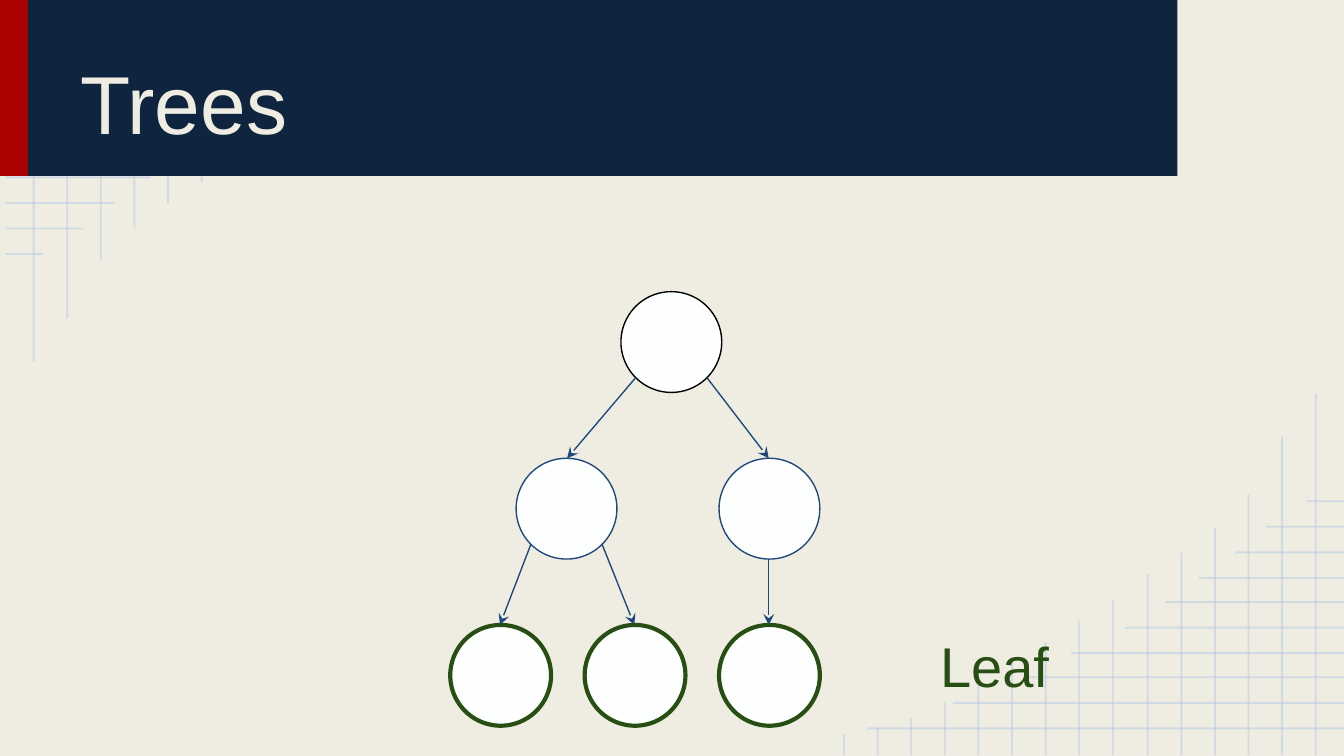
"""Build a slide that shows the leaves of a tree."""
from dataclasses import dataclass

from lxml import etree
from pptx import Presentation
from pptx.dml.color import RGBColor
from pptx.enum.shapes import MSO_CONNECTOR, MSO_SHAPE
from pptx.enum.text import MSO_ANCHOR, PP_ALIGN
from pptx.oxml.ns import qn
from pptx.util import Pt

LINE = MSO_CONNECTOR.STRAIGHT
RECT, OVAL = MSO_SHAPE.RECTANGLE, MSO_SHAPE.OVAL
TOP, BOTTOM = MSO_ANCHOR.TOP, MSO_ANCHOR.BOTTOM
LEFT, CENTER = PP_ALIGN.LEFT, PP_ALIGN.CENTER
PX = 9144
WIDE, HIGH = 1000, 562
NODE = 75
RISES = (269, 237, 194, 169, 151, 135, 116, 100, 84, 72, 56, 39, 28, 20, 16)
RUNS = (359, 295, 241, 207, 167, 137, 112, 85, 62, 32)


@dataclass(frozen=True)
class Theme:
    paper: str = "EFEDE2"
    grid: str = "B7CCE4"
    red: str = "AB0101"
    navy: str = "0F243E"
    node: str = "FDFFFF"
    root: str = "000000"
    blue: str = "1F497D"
    leaf: str = "274E13"
    font: str = "Arial"
    title: int = 44
    label: int = 30
    thin: float = 0.75
    rule: float = 1
    bold: float = 2.25


class Deck:
    def __init__(self, theme):
        self.theme = theme
        self.show = Presentation()
        self.show.slide_width = WIDE * PX
        self.show.slide_height = WIDE * PX * 9 // 16
        self.slide = self.show.slides.add_slide(self.show.slide_layouts[6])
        fill = self.slide.background.fill
        fill.solid()
        fill.fore_color.rgb = RGBColor.from_string(theme.paper)

    def line(self, start, end, color, width, alpha=None, arrow=False):
        ends = [v * PX for v in (*start, *end)]
        item = self.slide.shapes.add_connector(LINE, *ends)
        item.line.color.rgb = RGBColor.from_string(color)
        item.line.width = Pt(width)
        props = item.line._get_or_add_ln()
        if alpha:
            tint = props.find(".//" + qn("a:srgbClr"))
            etree.SubElement(tint, qn("a:alpha"), val=str(alpha * 1000))
        if arrow:
            etree.SubElement(props, qn("a:tailEnd"), type="stealth")
        etree.SubElement(item._element.spPr, qn("a:effectLst"))

    def shape(self, kind, box, fill, color=None, width=0):
        item = self.slide.shapes.add_shape(kind, *[v * PX for v in box])
        item.shadow.inherit = False
        item.fill.solid()
        item.fill.fore_color.rgb = RGBColor.from_string(fill)
        if color:
            item.line.color.rgb = RGBColor.from_string(color)
            item.line.width = Pt(width)
        else:
            item.line.fill.background()

    def text(self, words, box, size, color, anchor=TOP, align=LEFT):
        item = self.slide.shapes.add_textbox(*[v * PX for v in box])
        frame = item.text_frame
        frame.word_wrap = True
        frame.vertical_anchor = anchor
        frame.margin_left = frame.margin_right = 10 * PX
        frame.margin_top = frame.margin_bottom = 10 * PX
        frame.text = words
        para = frame.paragraphs[0]
        para.alignment = align
        font = para.runs[0].font
        font.name, font.size = self.theme.font, Pt(size)
        font.color.rgb = RGBColor.from_string(color)

    def grid(self, turn):
        look = self.theme
        rows = [((4, round(20 + 18.75 * i)), (end, round(20 + 18.75 * i)))
                for i, end in enumerate(RUNS)]
        cols = [((round(25 + 25.1 * i), end), (round(25 + 25.1 * i), 0))
                for i, end in enumerate(RISES)]
        for ends in rows + cols:
            if turn:
                ends = [(1004 - x, HIGH - y) for x, y in ends]
            self.line(*ends, look.grid, look.rule, alpha=54)

    def node(self, spot, color, width):
        self.shape(OVAL, (*spot, NODE, NODE), self.theme.node, color, width)

    def edge(self, spot, child, side):
        half = NODE / 2
        reach = half * 0.71
        drop = reach if side else half
        start = (round(spot[0] + half + side * reach),
                 round(spot[1] + half + drop))
        end = (round(child[0] + half), child[1])
        self.line(start, end, self.theme.blue, self.theme.thin, arrow=True)


def main():
    look = Theme()
    deck = Deck(look)
    for turn in (False, True):
        deck.grid(turn)
    deck.shape(RECT, (0, 0, 21, 131), look.red)
    deck.shape(RECT, (21, 0, 855, 131), look.navy)
    deck.text("Trees", (50, 11, 800, 111), look.title, look.paper, BOTTOM)

    root = (462, 217)
    west, east = (384, 341), (535, 341)
    leaves = [(335 + 100 * i, 465) for i in range(3)]
    deck.node(root, look.root, look.thin)
    for spot in (west, east):
        deck.node(spot, look.blue, look.thin)
    for spot in leaves:
        deck.node(spot, look.leaf, look.bold)
    edges = ((root, west, -1), (root, east, 1), (west, leaves[0], -1),
             (west, leaves[1], 1), (east, leaves[2], 0))
    for edge in edges:
        deck.edge(*edge)
    deck.text("Leaf", (645, 460, 190, 85), look.label, look.leaf, align=CENTER)
    deck.show.save("out.pptx")


if __name__ == "__main__":
    main()
